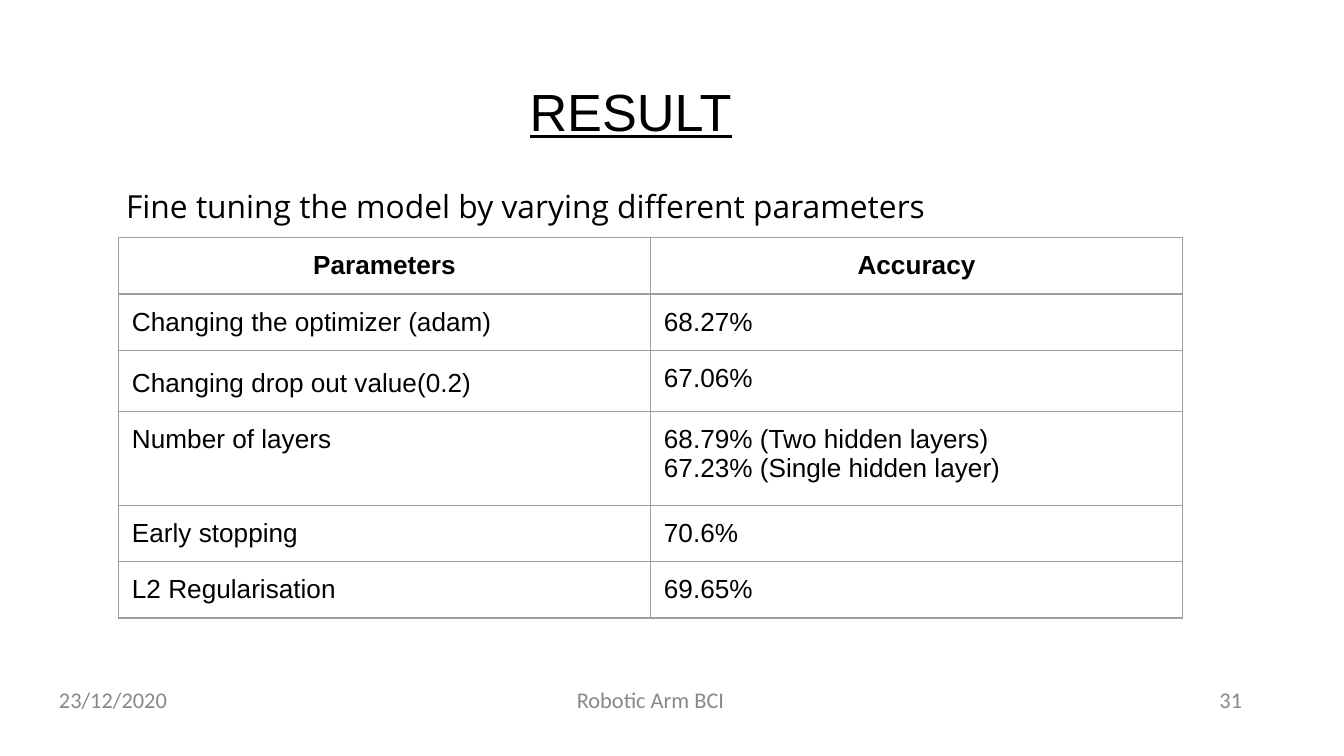
import pptx
import pptx.util
import pptx.dml.color
import pptx.enum.text
import pptx.oxml
import pptx.oxml.ns

Pt = pptx.util.Pt
ALIGN = pptx.enum.text.PP_ALIGN
ANCHOR = pptx.enum.text.MSO_ANCHOR
COLORS = {"text": "000000", "footer": "888888", "border": "9E9E9E"}
TITLE = {"name": "Arial", "size": Pt(28), "underline": True}
INTRO = {"name": "Open Sans", "size": Pt(17)}
FOOTER = {"name": "Calibri", "size": Pt(12)}
BODY = {"name": "Arial", "size": Pt(14), "bold": False}
HEADER = {**BODY, "bold": True}
ROWS = [
    ("Parameters", "Accuracy"),
    ("Changing the optimizer (adam)", "68.27%"),
    ("Changing drop out value(0.2)", "67.06%"),
    ("Number of layers", "68.79% (Two hidden layers)\n67.23% (Single hidden layer)"),
    ("Early stopping", "70.6%"),
    ("L2 Regularisation", "69.65%"),
]
ROW_HEIGHTS = [30.24, 30.24, 30.24, 50.4, 30.24, 30.24]


def write(tf, text, font, color="text", align=ALIGN.LEFT):
    tf.text = text
    for p in tf.paragraphs:
        p.alignment = align
        for r in p.runs:
            for key, value in font.items():
                setattr(r.font, key, value)
            r.font.color.rgb = pptx.dml.color.RGBColor.from_string(COLORS[color])


def set_frame(tf, inset_y, anchor):
    values = {"margin_left": Pt(7.2), "margin_right": Pt(7.2),
              "margin_top": Pt(inset_y), "margin_bottom": Pt(inset_y),
              "word_wrap": True, "vertical_anchor": anchor,
              "auto_size": pptx.enum.text.MSO_AUTO_SIZE.NONE}
    for key, value in values.items():
        setattr(tf, key, value)


def add_title(s, x, y, w, h):
    sp = s.shapes.title
    sp.left, sp.top, sp.width, sp.height = Pt(x), Pt(y), Pt(w), Pt(h)
    set_frame(sp.text_frame, 7.2, ANCHOR.TOP)
    write(sp.text_frame, "RESULT", TITLE)
    pPr = sp.text_frame.paragraphs[0]._p.get_or_add_pPr()
    pPr.set("marL", str(Pt(216)))
    pPr.set("indent", str(Pt(36)))


def add_intro(s, x, y, w, h):
    tf = s.shapes.add_textbox(Pt(x), Pt(y), Pt(w), Pt(h)).text_frame
    set_frame(tf, 7.2, ANCHOR.TOP)
    write(tf, "Fine tuning the model by varying different parameters", INTRO)
    tf.paragraphs[0].line_spacing = 1.15


def add_borders(cell):
    tcPr = cell._tc.get_or_add_tcPr()
    for side in ("lnL", "lnR", "lnT", "lnB"):
        tcPr.append(pptx.oxml.parse_xml(
            f'<a:{side} {pptx.oxml.ns.nsdecls("a")} w="{Pt(0.75)}"><a:solidFill>'
            f'<a:srgbClr val="{COLORS["border"]}"/></a:solidFill></a:{side}>'))


def add_results(s, x, y, w):
    table = s.shapes.add_table(len(ROWS), 2, Pt(x), Pt(y), Pt(w),
                               Pt(sum(ROW_HEIGHTS))).table
    table.first_row = table.horz_banding = False
    for i, (texts, height) in enumerate(zip(ROWS, ROW_HEIGHTS)):
        table.rows[i].height = Pt(height)
        for j, text in enumerate(texts):
            cell = table.cell(i, j)
            for side in ("left", "right", "top", "bottom"):
                setattr(cell, f"margin_{side}", Pt(7.2))
            write(cell.text_frame, text, BODY if i else HEADER,
                  align=ALIGN.LEFT if i else ALIGN.CENTER)
            add_borders(cell)
            cell.fill.background()
    # The drop-out row is set looser than the others
    p = table.cell(2, 0).text_frame.paragraphs[0]
    p.line_spacing, p.space_after = 1.15, Pt(16)


def add_footer(s, x, y, w, h):
    side, middle = 168, 228
    parts = [("23/12/2020", x, side, ALIGN.LEFT),
             ("Robotic Arm BCI", x + (w - middle) / 2, middle, ALIGN.CENTER),
             ("31", x + w - side, side, ALIGN.RIGHT)]
    for text, left, width, align in parts:
        tf = s.shapes.add_textbox(Pt(left), Pt(y), Pt(width), Pt(h)).text_frame
        set_frame(tf, 3.6, ANCHOR.MIDDLE)
        write(tf, text, FOOTER, "footer", align)


def main():
    prs = pptx.Presentation()
    prs.slide_width, prs.slide_height = Pt(720), Pt(405)
    s = prs.slides.add_slide(prs.slide_layouts[5])
    add_title(s, 24.5, 35, 671, 45)
    add_footer(s, 24.5, 360, 648, 29)
    add_intro(s, 60.5, 90, 565, 236)
    add_results(s, 63.5, 127.3, 570)
    prs.save("out.pptx")


if __name__ == "__main__":
    main()
